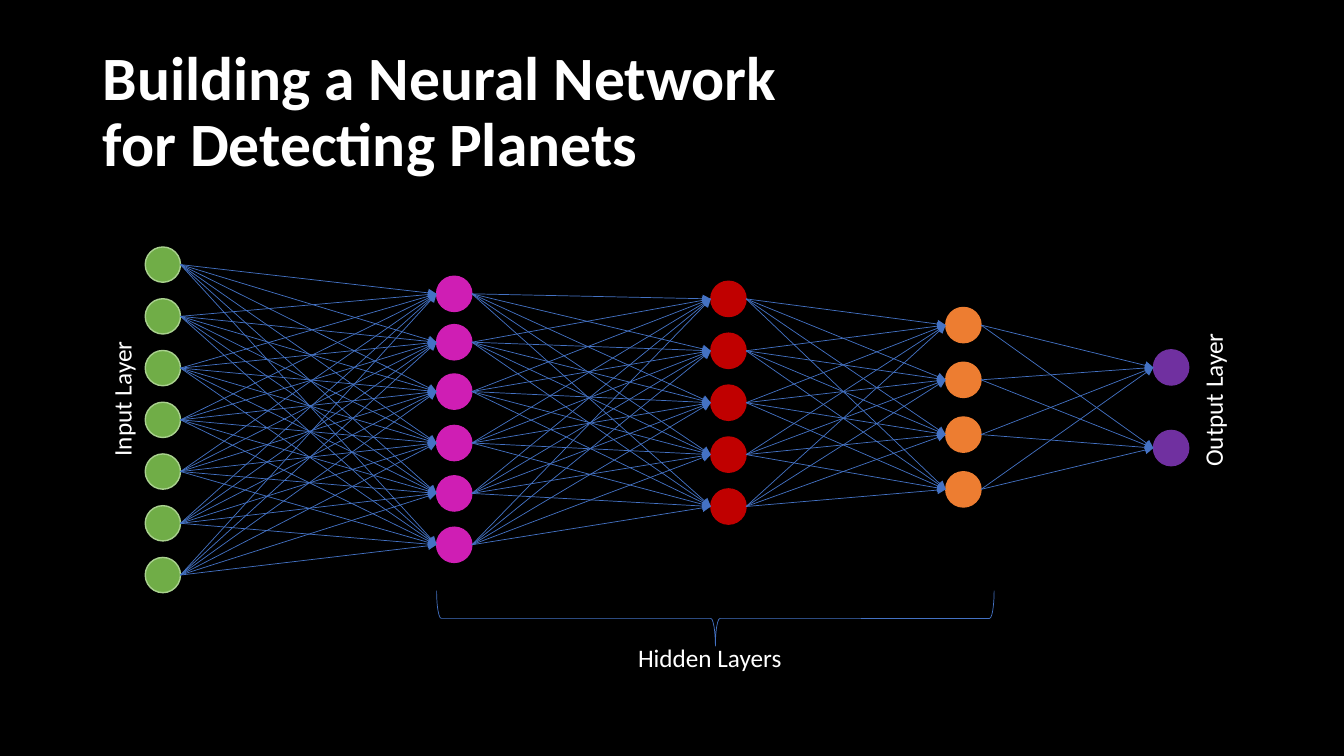
from itertools import pairwise, product

from lxml.etree import SubElement
from pptx import Presentation
from pptx.dml.color import RGBColor
from pptx.enum.shapes import MSO_CONNECTOR, MSO_SHAPE
from pptx.enum.text import MSO_ANCHOR, MSO_AUTO_SIZE
from pptx.oxml.ns import qn
from pptx.util import Inches, Pt

BLACK = RGBColor(0x00, 0x00, 0x00)
WHITE = RGBColor(0xFF, 0xFF, 0xFF)
GREEN = RGBColor(0x70, 0xAD, 0x47)
LIGHT_GREEN = RGBColor(0xA9, 0xD1, 0x8E)
MAGENTA = RGBColor(0xCF, 0x1E, 0xB4)
RED = RGBColor(0xC0, 0x00, 0x00)
ORANGE = RGBColor(0xED, 0x7D, 0x31)
PURPLE = RGBColor(0x70, 0x30, 0xA0)
BLUE = RGBColor(0x44, 0x72, 0xC4)
NODE_SIZE = 0.35


def evenly(first, last, count):
    return [first + (last - first) * i / (count - 1) for i in range(count)]


LAYERS = [
    (1.44, evenly(2.45, 5.53, 7), GREEN, LIGHT_GREEN),
    (4.33, [2.74, 3.22, 3.71, 4.22, 4.72, 5.23], MAGENTA, MAGENTA),
    (7.05, evenly(2.79, 4.85, 5), RED, RED),
    (9.38, evenly(3.05, 4.68, 4), ORANGE, ORANGE),
    (11.44, evenly(3.47, 4.27, 2), PURPLE, PURPLE),
]


class NetworkSlide:
    font_name = "Calibri"
    text_color = WHITE
    link_color = BLUE
    link_width = Pt(0.5)

    def __init__(self, slide):
        self.shapes = slide.shapes
        slide.background.fill.solid()
        slide.background.fill.fore_color.rgb = BLACK

    def text(self, content, left, top, width, height, *, size=18, bold=False,
             rotation=0, wrap=False, spacing=1.0, anchor=MSO_ANCHOR.TOP):
        box = self.shapes.add_textbox(
            Inches(left), Inches(top), Inches(width), Inches(height))
        box.rotation = rotation
        frame = box.text_frame
        frame.word_wrap = wrap
        frame.auto_size = MSO_AUTO_SIZE.NONE if wrap else MSO_AUTO_SIZE.SHAPE_TO_FIT_TEXT
        frame.vertical_anchor = anchor
        paragraph = frame.paragraphs[0]
        paragraph.line_spacing = spacing
        paragraph.text = content
        for run in paragraph.runs:
            run.font.name = self.font_name
            run.font.size = Pt(size)
            run.font.bold = bold
            run.font.color.rgb = self.text_color

    def node(self, left, top, fill, outline):
        circle = self.shapes.add_shape(
            MSO_SHAPE.OVAL, Inches(left), Inches(top),
            Inches(NODE_SIZE), Inches(NODE_SIZE))
        circle.shadow.inherit = False
        circle.fill.solid()
        circle.fill.fore_color.rgb = fill
        circle.line.color.rgb = outline
        circle.line.width = Pt(1)

    def link(self, x1, y1, x2, y2):
        arrow = self.shapes.add_connector(
            MSO_CONNECTOR.STRAIGHT, Inches(x1), Inches(y1), Inches(x2), Inches(y2))
        arrow.line.color.rgb = self.link_color
        arrow.line.width = self.link_width
        SubElement(arrow.line._get_or_add_ln(), qn("a:tailEnd"), type="triangle")
        SubElement(arrow._element.spPr, qn("a:effectLst"))

    def brace(self, left, top, width, height, rotation):
        bracket = self.shapes.add_shape(
            MSO_SHAPE.RIGHT_BRACE, Inches(left), Inches(top),
            Inches(width), Inches(height))
        bracket.rotation = rotation
        bracket.shadow.inherit = False
        bracket.fill.background()
        bracket.line.color.rgb = self.link_color
        bracket.line.width = self.link_width


def main():
    presentation = Presentation()
    presentation.slide_width = Inches(13.33)
    presentation.slide_height = Inches(7.5)
    network = NetworkSlide(presentation.slides.add_slide(presentation.slide_layouts[6]))

    network.text("Building a Neural Network\vfor Detecting Planets", 0.92, 0.4, 11.5, 1.45,
                 size=44, bold=True, wrap=True, spacing=0.9, anchor=MSO_ANCHOR.MIDDLE)

    for left, tops, fill, outline in LAYERS:
        for top in tops:
            network.node(left, top, fill, outline)

    radius = NODE_SIZE / 2
    for (source_left, sources, *_), (target_left, targets, *_) in pairwise(LAYERS):
        for source, target in product(sources, targets):
            network.link(source_left + NODE_SIZE, source + radius,
                         target_left, target + radius)

    network.text("Input Layer", 0.53, 3.75, 1.35, 0.4, rotation=270)
    network.text("Output Layer", 11.26, 3.76, 1.54, 0.4, rotation=270)
    network.brace(6.82, 3.37, 0.55, 5.53, 90)
    network.text("Hidden Layers", 6.23, 6.32, 1.64, 0.4)

    presentation.save("out.pptx")


if __name__ == "__main__":
    main()
